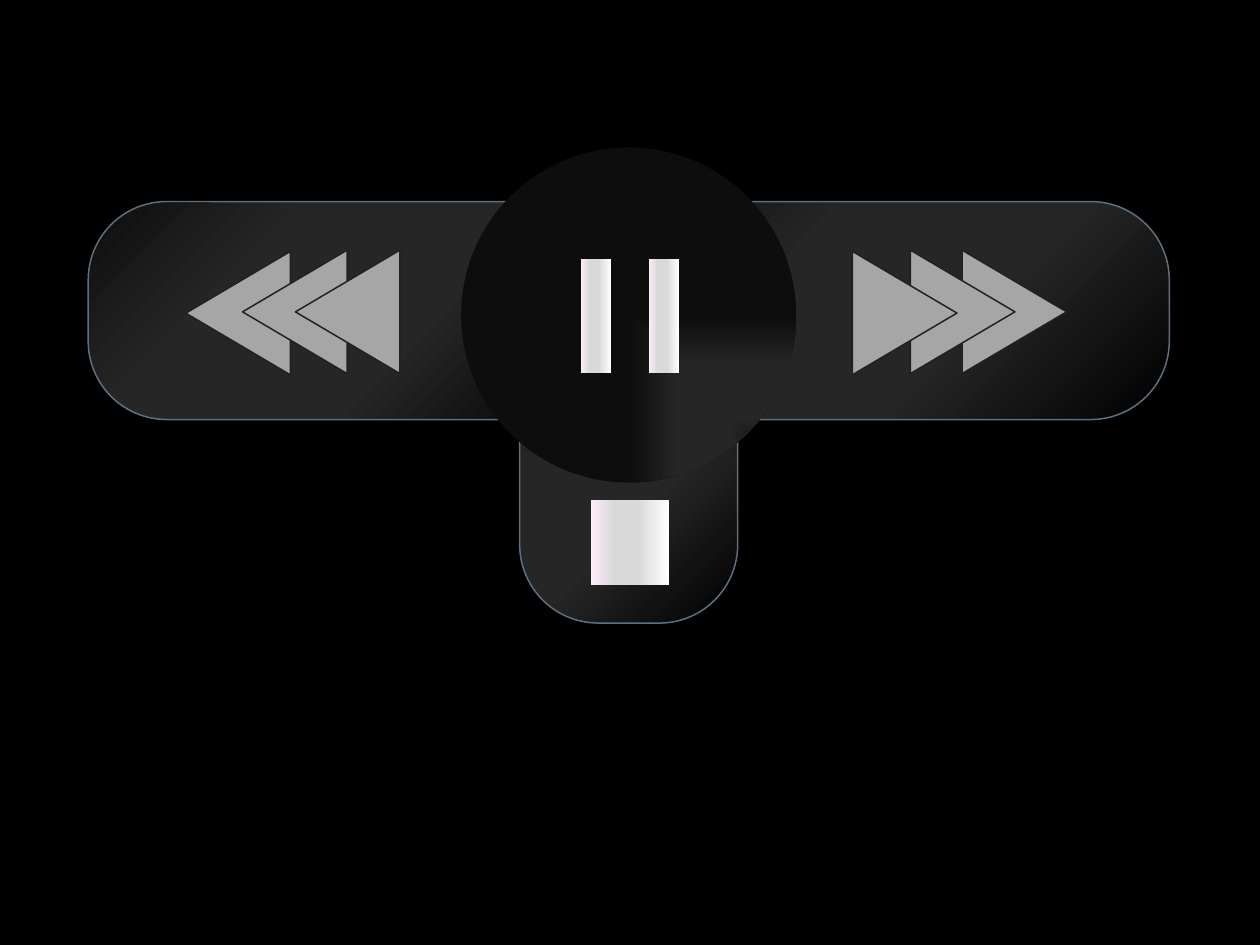
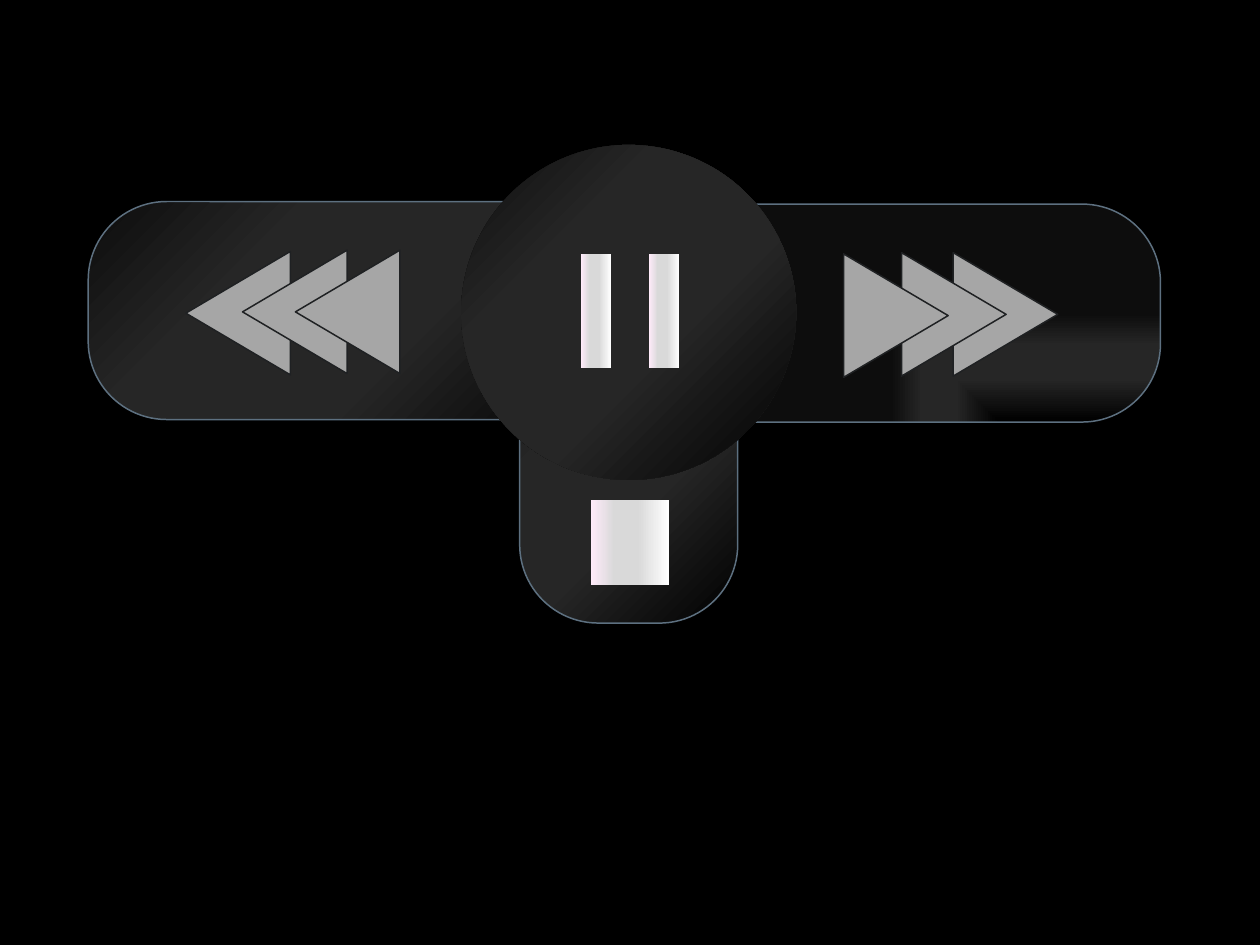
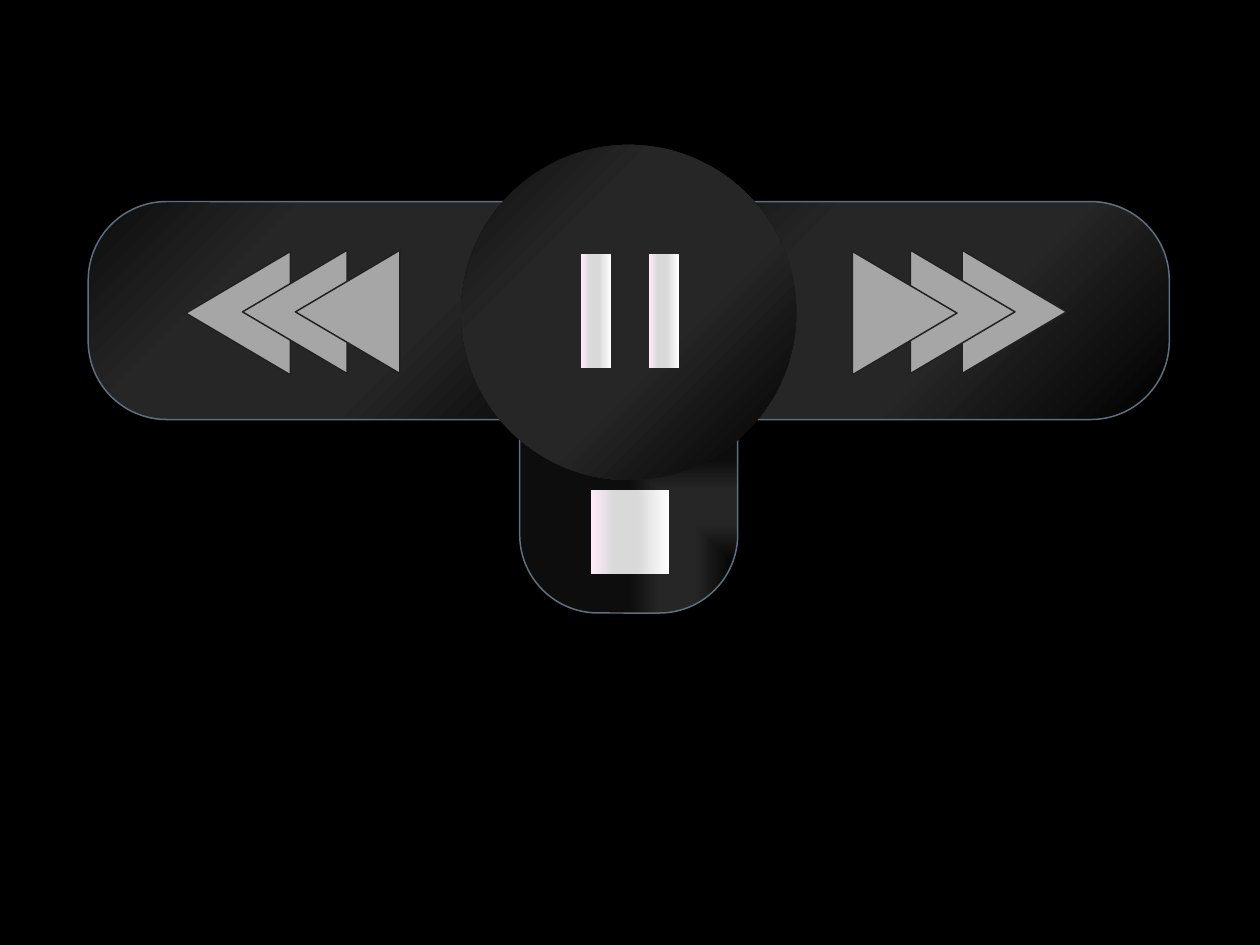
"""Build three slides of a media player control, each with a different button pressed."""
import lxml.etree
import pptx
import pptx.dml.color
import pptx.enum.shapes
import pptx.oxml
import pptx.oxml.ns
import pptx.util

COLOURS = {
    "backdrop": "000000",
    "panel edge": "5D7080",
    "arrow": "A6A6A6",
    "arrow edge": "1F2123",
}
DARK_STOPS = [(0, "000000"), (40, "262626"), (52, "262626"), (70, "262626"), (100, "0D0D0D")]
LIGHT_STOPS = [(0, "FFFFFF"), (40, "D9D9D9"), (70, "D9D9D9"), (100, "FFEBFA")]
CORNER = '<a:path path="{}"><a:fillToRect l="100000" t="100000"/></a:path>'
SHADES = {
    "raised": (DARK_STOPS, CORNER.format("circle")),
    "pressed": (DARK_STOPS, CORNER.format("rect")),
    "light": (LIGHT_STOPS, '<a:lin ang="10800000" scaled="0"/>'),
}
PRESET = pptx.enum.shapes.MSO_SHAPE

presentation = pptx.Presentation()
presentation.slide_width = pptx.util.Inches(10)
presentation.slide_height = pptx.util.Inches(7.5)
CELL = presentation.slide_width / 100

backdrop = presentation.slide_master.background.fill
backdrop.solid()
backdrop.fore_color.rgb = pptx.dml.color.RGBColor.from_string(COLOURS["backdrop"])


def add_part(button, preset, cells, edge=None, rotation=0):
    """Add one part of a button, placed in grid cells."""
    part = button.shapes.add_shape(preset, *(round(cell * CELL) for cell in cells))
    part.rotation = rotation
    part.shadow.inherit = False
    if edge:
        part.line.color.rgb = pptx.dml.color.RGBColor.from_string(COLOURS[edge])
        part.line.width = pptx.util.Pt(0.85)
    else:
        part.line.fill.background()
    return part


def shade(part, name):
    """Fill a part with one of the shared gradients."""
    stops, direction = SHADES[name]
    stop_list = "".join(
        f'<a:gs pos="{share * 1000}"><a:srgbClr val="{colour}"/></a:gs>' for share, colour in stops
    )
    gradient = pptx.oxml.parse_xml(
        f'<a:gradFill {pptx.oxml.ns.nsdecls("a")} rotWithShape="1">'
        f"<a:gsLst>{stop_list}</a:gsLst>{direction}</a:gradFill>"
    )
    part.element.spPr.find(pptx.oxml.ns.qn("a:prstGeom")).addnext(gradient)


PANEL_WIDTH, PANEL_HEIGHT = 42.9, 17.3
ARROW_BASE, ARROW_DEPTH = 9.8, 8.3
REWIND = (7, 16, 270, [(7, 4.7), (11.5, 4.6), (15.7, 4.6)])
FORWARD = (49.9, 16, 90, [(25.7, 4.6), (21.6, 4.6), (17, 4.7)])
FORWARD_PRESSED = (49.2, 16.2, 90, FORWARD[3])

for pressed in ("pause", "forward", "stop"):
    slide = presentation.slides.add_slide(presentation.slide_layouts[6])
    state = {name: "pressed" if name == pressed else "raised"
             for name in ("rewind", "stop", "forward", "pause")}

    for name in state:
        button = slide.shapes.add_group_shape()
        if name == "stop":
            drop = -0.8 if pressed == name else 0
            panel = add_part(button, PRESET.ROUNDED_RECTANGLE,
                             (37.6, 28.5 + drop, 24.6, PANEL_HEIGHT), "panel edge", 270)
            panel.adjustments[0] = 0.36
            shade(panel, state[name])
            shade(add_part(button, PRESET.RECTANGLE, (46.9, 39.7 + drop, 6.2, 6.7)), "light")
        elif name == "pause":
            drop = 0.2 if pressed == name else 0
            shade(add_part(button, PRESET.OVAL, (36.6, 11.5 + drop, 26.6, 26.6)), state[name])
            for bar_left in (46.1, 51.5):
                shade(add_part(button, PRESET.RECTANGLE,
                               (bar_left, 20.2 + 2 * drop, 2.4, 9)), "light")
        else:
            left, top, heading, arrows = (
                REWIND if name == "rewind" else FORWARD_PRESSED if pressed == name else FORWARD
            )
            panel = add_part(button, PRESET.ROUNDED_RECTANGLE,
                             (left, top, PANEL_WIDTH, PANEL_HEIGHT), "panel edge")
            panel.adjustments[0] = 0.36
            shade(panel, state[name])
            for across, down in arrows:
                arrow = add_part(button, PRESET.ISOSCELES_TRIANGLE,
                                 (left + across, top + down, ARROW_BASE, ARROW_DEPTH),
                                 "arrow edge", heading)
                arrow.fill.solid()
                arrow.fill.fore_color.rgb = pptx.dml.color.RGBColor.from_string(COLOURS["arrow"])

presentation.save("out.pptx")
